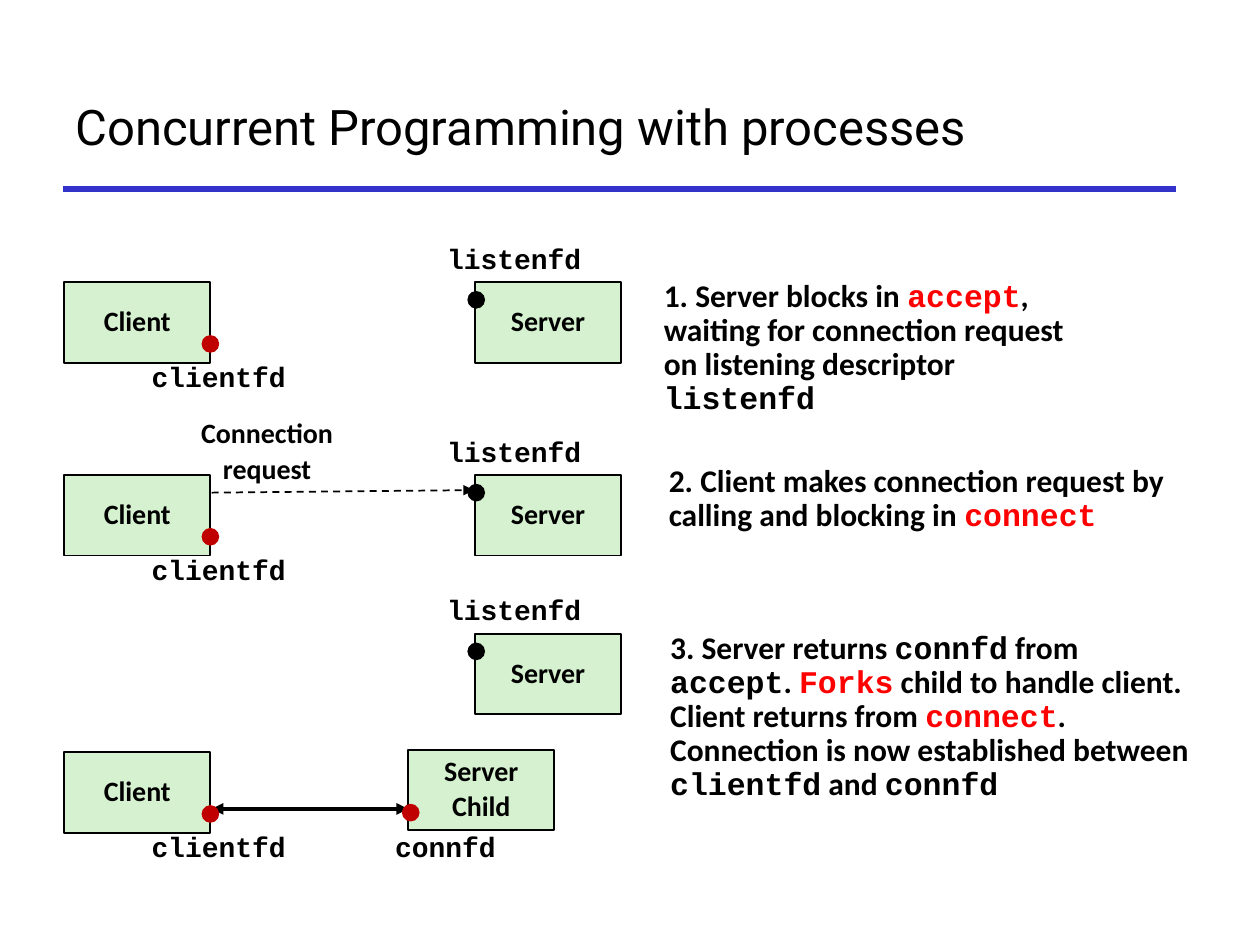
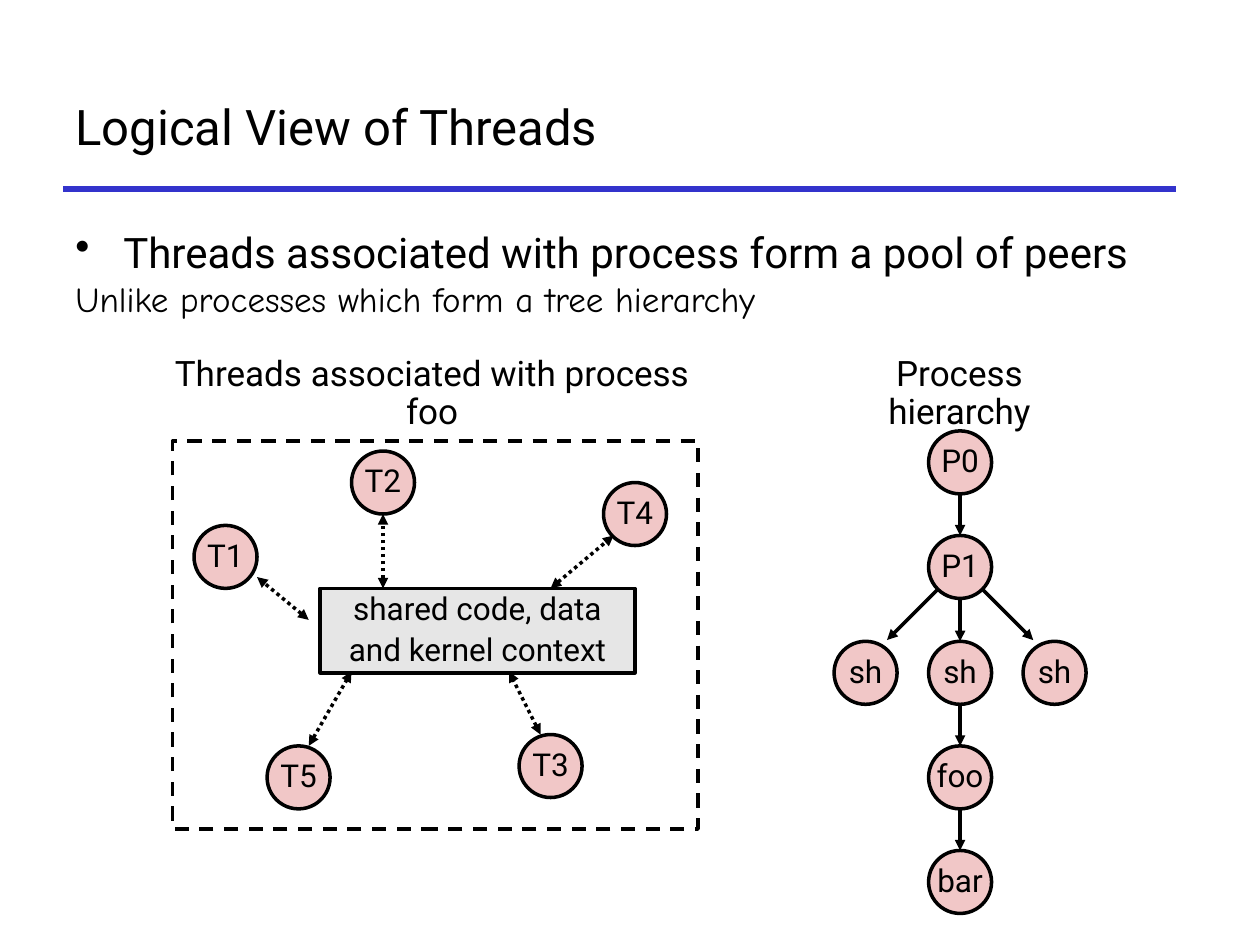
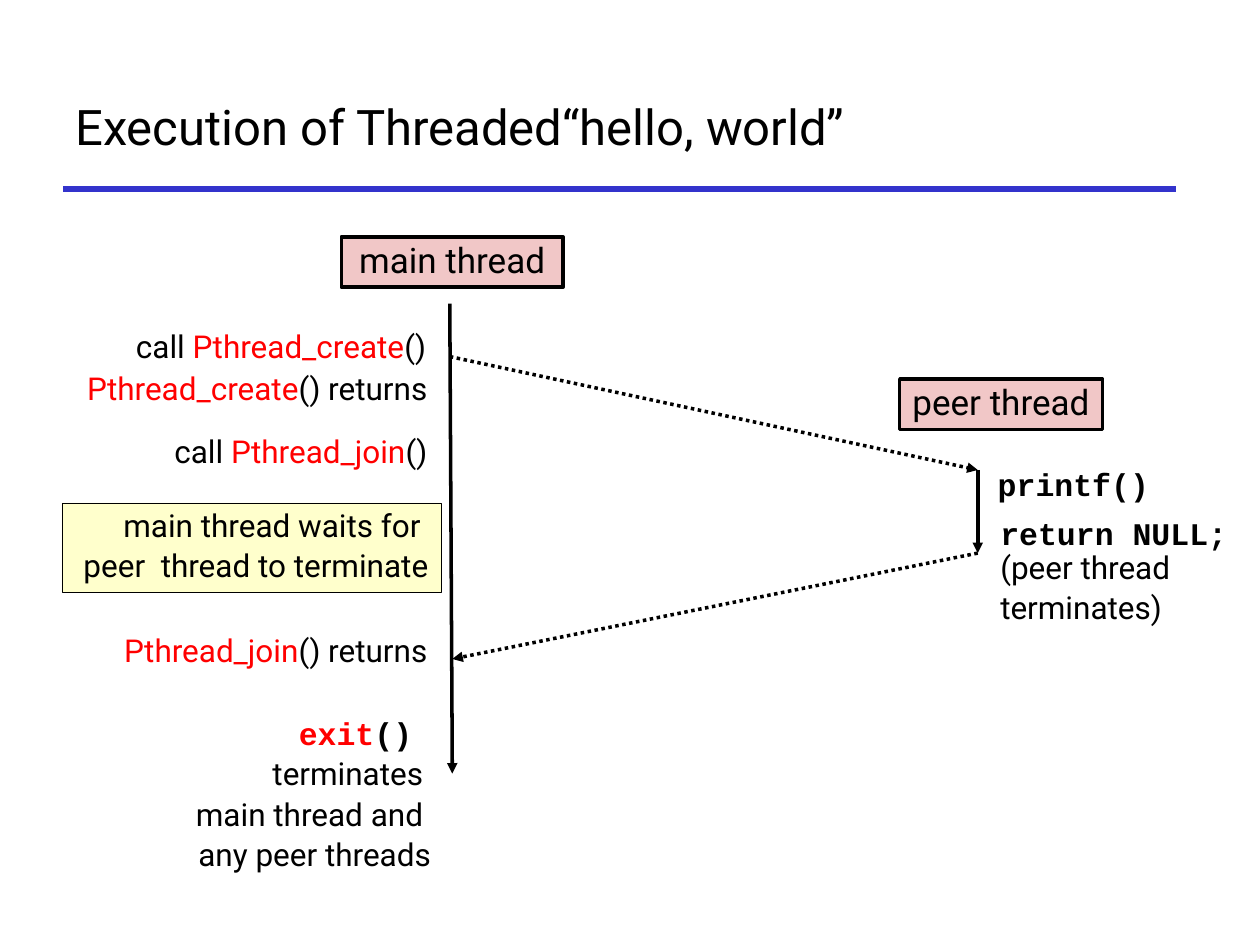
from lxml import etree
from pptx import Presentation
from pptx import util as u
from pptx.dml.color import RGBColor
from pptx.enum import dml, shapes, text
from pptx.oxml.ns import qn

PX = 9144  # one px is a hundredth of an inch

BLACK = RGBColor(0x00, 0x00, 0x00)
RED = RGBColor(0xFF, 0x00, 0x00)
DARK_RED = RGBColor(0xC0, 0x00, 0x00)
BLUE = RGBColor(0x33, 0x33, 0xCC)
GREEN = RGBColor(0xD5, 0xF1, 0xCF)
PINK = RGBColor(0xF1, 0xC7, 0xC7)
GREY = RGBColor(0xE6, 0xE6, 0xE6)
YELLOW = RGBColor(0xFF, 0xFF, 0xCC)

RECT, OVAL = shapes.MSO_SHAPE.RECTANGLE, shapes.MSO_SHAPE.OVAL
LEFT, CENTER, RIGHT = text.PP_ALIGN.LEFT, text.PP_ALIGN.CENTER, text.PP_ALIGN.RIGHT
MIDDLE, TOP = text.MSO_ANCHOR.MIDDLE, text.MSO_ANCHOR.TOP
DASH, DOTS = dml.MSO_LINE.DASH, dml.MSO_LINE.ROUND_DOT

TITLE = dict(name="Roboto", size=28)
BOX = dict(name="Calibri", size=16, bold=True)
BOX_CODE = dict(name="Courier New", size=16, bold=True)
STEP = dict(name="Calibri", size=18, bold=True)
CODE = dict(name="Courier New", size=18, bold=True)
RED_CODE = dict(CODE, color=RED)
CAPTION = dict(name="Roboto", size=20)
NOTE = dict(name="Roboto", size=18)
RED_NOTE = dict(NOTE, color=RED)


def place(slide, kind, box, paragraphs=(), style=NOTE, fill=None, line=0, dash=None,
          align=CENTER, anchor=MIDDLE, wrap=False, grow=False, leading=0.9, before=0.2):
    """Add a preset shape, or a text box if kind is None; a paragraph is a string or (text, style) runs."""
    area = [n * PX for n in box]
    if kind is None:
        shape = slide.shapes.add_textbox(*area)
    else:
        shape = slide.shapes.add_shape(kind, *area)
        shape.shadow.inherit = False
        if fill is None:
            shape.fill.background()
        else:
            shape.fill.solid()
            shape.fill.fore_color.rgb = fill
        if line:
            shape.line.color.rgb = BLACK
            shape.line.width = u.Pt(line)
            shape.line.dash_style = dash
        else:
            shape.line.fill.background()
    frame = shape.text_frame
    frame.word_wrap, frame.vertical_anchor = wrap, anchor
    frame.auto_size = text.MSO_AUTO_SIZE.SHAPE_TO_FIT_TEXT if grow else text.MSO_AUTO_SIZE.NONE
    for i, runs in enumerate(paragraphs):
        para = frame.paragraphs[0] if i == 0 else frame.add_paragraph()
        para.alignment, para.line_spacing = align, leading
        para.space_before = u.Pt(before * style["size"])
        for words, look in [(runs, style)] if isinstance(runs, str) else runs:
            run = para.add_run()
            run.text = words
            for key, value in look.items():
                if key == "color":
                    continue
                setattr(run.font, key, u.Pt(value) if key == "size" else value)
            run.font.color.rgb = look.get("color", BLACK)
    return frame


def connect(slide, start, end, width=2, color=BLACK, dash=None, ends=("tailEnd",)):
    link = slide.shapes.add_connector(shapes.MSO_CONNECTOR.STRAIGHT, *[n * PX for n in start + end])
    link.line.color.rgb = color
    link.line.width = u.Pt(width)
    link.line.dash_style = dash
    for tag in ends:
        etree.SubElement(link.line._get_or_add_ln(), qn("a:" + tag), type="triangle")
    etree.SubElement(link._element.spPr, qn("a:effectLst"))


BOTH = ("headEnd", "tailEnd")

prs = Presentation()
prs.slide_width, prs.slide_height = 1000 * PX, 750 * PX

# Title and rule on every slide
slides = []
for title in ("Concurrent Programming with processes", "Logical View of Threads",
              "Execution of Threaded“hello, world”"):
    slide = prs.slides.add_slide(prs.slide_layouts[6])
    connect(slide, (50, 150), (933, 150), 3, BLUE, ends=())
    place(slide, None, (50, 50, 883, 100), [title], TITLE, align=LEFT, wrap=True,
          leading=1.0, before=0)
    slides.append(slide)
processes, threads, hello = slides

# Processes: connection request and established connection
connect(processes, (168, 391), (376, 389), 1, dash=DASH)
connect(processes, (168, 642), (324, 642), 2.25, ends=BOTH)
place(processes, None, (149, 327, 126, 64), ["Connection", "request"], BOX, grow=True)

# Processes: each endpoint is a box, its descriptor label and a dot
SERVER_LABEL, SERVER_DOT = (-33, -35, 128, 35), (-6, 7)
CLIENT_LABEL, CLIENT_DOT = (59, 58, 127, 37), (109, 42)
CHILD_LABEL, CHILD_DOT = (-21, 61, 101, 35), (-5, 43)
endpoints = [(["Client"], 51, y, "clientfd", CLIENT_LABEL, CLIENT_DOT, DARK_RED)
             for y in (224, 377, 597)]
endpoints += [(["Server"], 377, y, "listenfd", SERVER_LABEL, SERVER_DOT, BLACK)
              for y in (224, 377, 503)]
endpoints.append((["Server", "Child"], 324, 595, "connfd", CHILD_LABEL, CHILD_DOT, DARK_RED))
for name, x, y, descriptor, (dx, dy, w, h), (dot_x, dot_y), color in endpoints:
    place(processes, RECT, (x, y, 116, 64), name, BOX, GREEN, 1)
    place(processes, None, (x + dx, y + dy, w, h), [descriptor], BOX_CODE, grow=True)
    place(processes, OVAL, (x + dot_x, y + dot_y, 14, 14), fill=color)

# Processes: the three steps
steps = [
    ((517, 217, 360, 119),
     [("1. Server blocks in ", STEP), ("accept", RED_CODE),
      (", waiting for connection request on listening descriptor ", STEP), ("listenfd", CODE)]),
    ((521, 364, 423, 65),
     [("2. Client makes connection request by calling and blocking in ", STEP),
      ("connect", RED_CODE)]),
    ((522, 496, 439, 146),
     [("3. Server returns ", STEP), ("connfd", CODE), (" from ", STEP), ("accept", CODE),
      (". ", STEP), ("Forks", RED_CODE),
      (" child to handle client. Client returns from ", STEP), ("connect", RED_CODE),
      (". Connection is now established between ", STEP), ("clientfd", CODE),
      (" and ", STEP), ("connfd", CODE)]),
]
for box, runs in steps:
    place(processes, None, box, [runs], STEP, align=LEFT, wrap=True, grow=True)

# Threads: bullet and its second level
points = place(threads, None, (50, 175, 908, 483),
               [[("Threads associated with process form a pool of peers", dict(name="Roboto", size=24))],
                [("Unlike processes which form a tree hierarchy", dict(name="Comic Neue", size=20))]],
               align=LEFT, anchor=TOP, wrap=True, leading=1.0, before=0)
bullet, detail = points.paragraphs
bullet.space_before = u.Pt(4.8)
detail.level = 1
for para, margin in ((bullet, 38), (detail, 0)):
    props = para._p.get_or_add_pPr()
    props.set("marL", str(margin * PX))
    props.set("indent", str(-margin * PX))
etree.SubElement(bullet._p.get_or_add_pPr(), qn("a:buChar"), char="•")

# Threads: captions and the frame of process foo
for box, caption in (((113, 293, 460, 40), "Threads associated with process foo"),
                     ((644, 293, 235, 40), "Process hierarchy")):
    place(threads, None, box, [caption], CAPTION, wrap=True)
place(threads, RECT, (137, 350, 417, 308), line=2, dash=DASH)
place(threads, RECT, (254, 467, 250, 67), ["shared code, data", "and kernel context"],
      fill=GREY, line=2)

# Threads: links between the peers and the shared context
for start, end in (((245, 592), (279, 533)), ((429, 583), (404, 533)), ((245, 492), (204, 458)),
                   ((304, 467), (304, 408)), ((437, 467), (487, 425))):
    connect(threads, start, end, dash=DOTS, ends=BOTH)

# Threads: process tree with evenly spaced levels
TRUNK, NODE = 737, 50
levels = [round(342 + i * 250 / 3) for i in range(5)]
center = TRUNK + NODE // 2
for upper, lower in zip(levels, levels[1:]):
    connect(threads, (center, upper + NODE), (center, lower))
for side in (-1, 1):
    connect(threads, (center + 17 * side, 467), (center + 58 * side, 508))

nodes = [(name, TRUNK, y) for name, y in zip(("P0", "P1", "sh", "foo", "bar"), levels)]
nodes += [("sh", TRUNK + dx, levels[2]) for dx in (-75, 75)]
nodes += [("T1", 154, 417), ("T2", 279, 358), ("T3", 412, 583), ("T4", 479, 383), ("T5", 212, 592)]
for name, x, y in nodes:
    place(threads, OVAL, (x, y, NODE, NODE), [name], fill=PINK, line=2)

# Hello: lifelines of both threads, then creation and join
for start, end, dash in (((357, 241), (359, 614), None), ((776, 373), (776, 439), None),
                         ((357, 283), (776, 373), DOTS), ((776, 439), (359, 523), DOTS)):
    connect(hello, start, end, dash=dash)
for box, name in (((271, 188, 176, 40), "main thread"), ((714, 301, 161, 40), "peer thread")):
    place(hello, RECT, box, [name], CAPTION, PINK, 2, grow=True)

# Hello: what the main thread does
place(hello, RECT, (49, 399, 301, 71), ["main thread waits for ", "peer  thread to terminate"],
      fill=YELLOW, line=0.25, align=RIGHT, grow=True)
place(hello, None, (132, 563, 220, 137),
      [[("exit", RED_CODE), ("() ", CODE)], "terminates ", "main thread and ", "any peer threads"],
      align=RIGHT, grow=True)
for box, runs in (
        ((89, 258, 259, 37), [("call ", NOTE), ("Pthread_create", RED_NOTE), ("()", NOTE)]),
        ((40, 291, 309, 37), [("Pthread_create", RED_NOTE), ("() returns", NOTE)]),
        ((110, 341, 239, 38), [("call ", NOTE), ("Pthread_join", RED_NOTE), ("()", NOTE)]),
        ((74, 499, 275, 37), [("Pthread_join", RED_NOTE), ("() returns", NOTE)])):
    place(hello, None, box, [runs], align=RIGHT, anchor=TOP, grow=True)

# Hello: what the peer thread does
for box, lines, style, anchor in (
        ((782, 367, 141, 38), ["printf()"], CODE, MIDDLE),
        ((784, 406, 201, 38), ["return NULL;"], CODE, MIDDLE),
        ((784, 433, 158, 71), ["(peer thread", "terminates)"], NOTE, TOP)):
    place(hello, None, box, lines, style, align=LEFT, anchor=anchor, grow=True)

prs.save("out.pptx")
